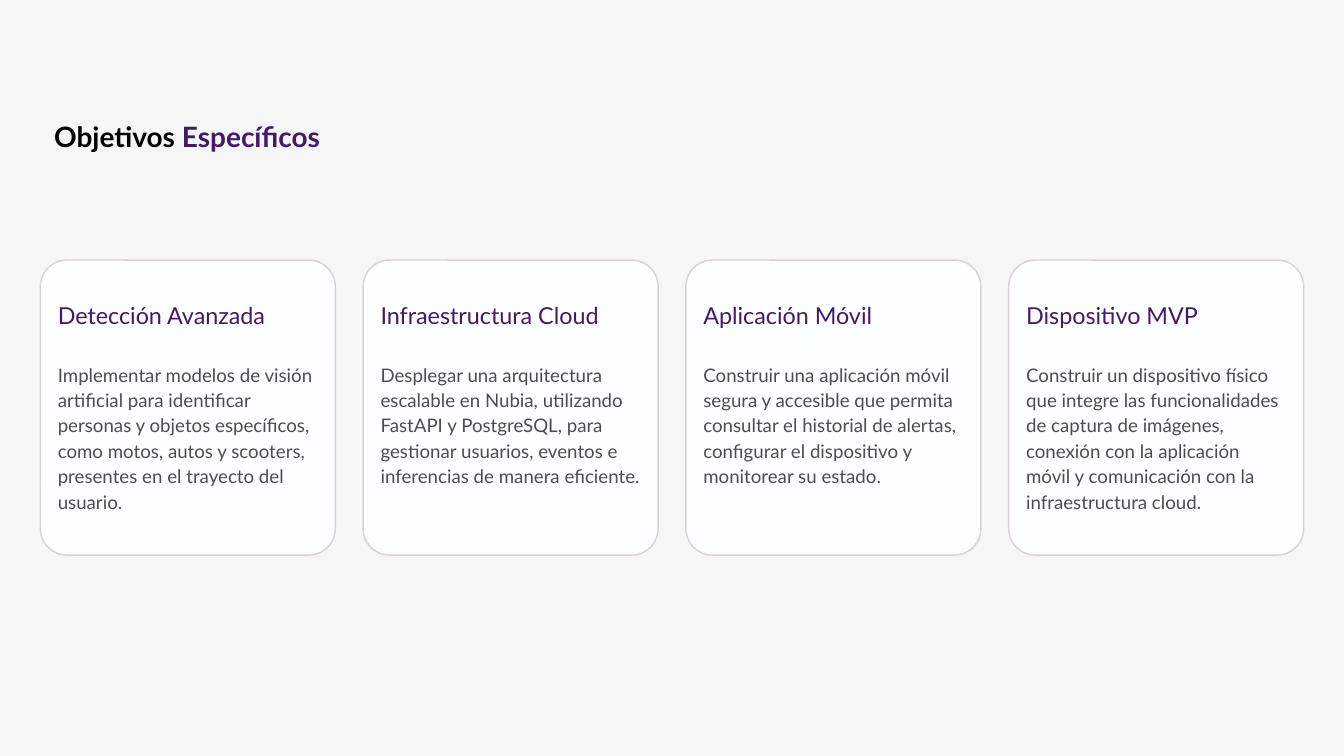
import pptx
import pptx.dml.color
import pptx.enum.shapes
import pptx.enum.text
import pptx.util

Inches = pptx.util.Inches
Pt = pptx.util.Pt

FONT = "Lato"
PURPLE = "411A6A"
PAGE_WIDTH = 20
MARGIN = 0.6
CARD_TOP = 3.87
CARD_SIZE = 4.39

OBJECTIVES = [
    ("Detección Avanzada",
     "Implementar modelos de visión artificial para identificar personas y objetos "
     "específicos, como motos, autos y scooters, presentes en el trayecto del usuario."),
    ("Infraestructura Cloud",
     "Desplegar una arquitectura escalable en Nubia, utilizando FastAPI y PostgreSQL, "
     "para gestionar usuarios, eventos e inferencias de manera eficiente."),
    ("Aplicación Móvil",
     "Construir una aplicación móvil segura y accesible que permita consultar el "
     "historial de alertas, configurar el dispositivo y monitorear su estado."),
    ("Dispositivo MVP",
     "Construir un dispositivo físico que integre las funcionalidades de captura de "
     "imágenes, conexión con la aplicación móvil y comunicación con la "
     "infraestructura cloud."),
]


def color(value):
    return pptx.dml.color.RGBColor.from_string(value)


def style_span(span, size, value, bold=False):
    span.font.name = FONT
    span.font.size = Pt(size)
    span.font.bold = bold
    span.font.color.rgb = color(value)


def add_text_box(page, left, top, width, height, margin=0):
    box = page.shapes.add_textbox(Inches(left), Inches(top), Inches(width), Inches(height))
    frame = box.text_frame
    frame.word_wrap = True
    frame.margin_left = frame.margin_right = Inches(margin)
    frame.margin_top = frame.margin_bottom = Inches(margin)
    return frame


def add_title(page, left, top, width, height):
    para = add_text_box(page, left, top, width, height).paragraphs[0]
    para.alignment = pptx.enum.text.PP_ALIGN.CENTER
    para.line_spacing = Pt(42)
    for text, value in (("Objetivos", "000000"), (" Específicos", PURPLE)):
        span = para.add_run()
        span.text = text
        style_span(span, 30, value, bold=True)


def add_card(page, left, top, size, heading, description):
    card = page.shapes.add_shape(
        pptx.enum.shapes.MSO_SHAPE.ROUNDED_RECTANGLE,
        Inches(left), Inches(top), Inches(size), Inches(size))
    card.adjustments[0] = 0.09
    card.shadow.inherit = False
    card.fill.solid()
    card.fill.fore_color.rgb = color("FCFEFF")
    card.line.color.rgb = color("D8D2D2")
    card.line.width = Pt(1.5)

    rise = 0.18
    frame = add_text_box(page, left, top - rise, size, size + rise, 0.26)
    frame.margin_top = Inches(0.73)
    frame.text = f"{heading}\n{description}"
    heading_para, description_para = frame.paragraphs
    heading_para.line_spacing = Pt(34)
    description_para.line_spacing = Pt(27.2)
    description_para.space_before = Pt(34)
    style_span(heading_para.runs[0], 25, PURPLE)
    style_span(description_para.runs[0], 20, "4D4D4D")


def main():
    deck = pptx.Presentation()
    deck.slide_width = Inches(PAGE_WIDTH)
    deck.slide_height = Inches(11.25)
    page = deck.slides.add_slide(deck.slide_layouts[6])
    page.background.fill.solid()
    page.background.fill.fore_color.rgb = color("F6F6F6")

    add_title(page, 0.66, 1.7, 4.25, 0.59)
    step = (PAGE_WIDTH - 2 * MARGIN - CARD_SIZE) / (len(OBJECTIVES) - 1)
    for index, (heading, description) in enumerate(OBJECTIVES):
        add_card(page, MARGIN + index * step, CARD_TOP, CARD_SIZE, heading, description)

    deck.save("out.pptx")


if __name__ == "__main__":
    main()
